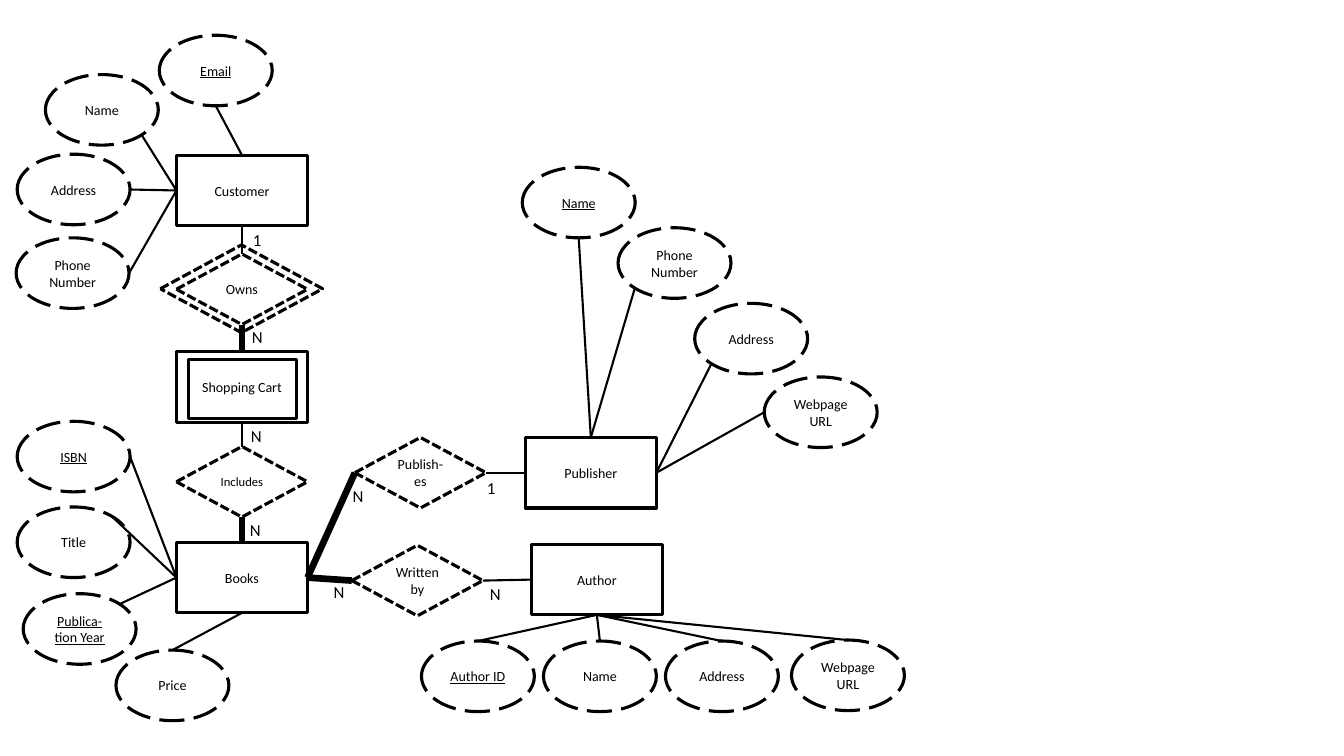
from lxml import etree
from pptx import Presentation
from pptx import util as u
from pptx.dml.color import RGBColor
from pptx.enum import dml, shapes, text
from pptx.oxml import ns

INK = {"line": "000000", "text": "000000"}
FONT = "Calibri"
KIND = shapes.MSO_SHAPE
DASH = dml.MSO_LINE
THIN, THICK = 1.5, 4.75

# kind: preset, dash, width, height
LOOKS = {
    "entity": (KIND.RECTANGLE, None, 1.3, 0.7),
    "bond": (KIND.DIAMOND, DASH.SQUARE_DOT, 1.3, 0.7),
    "field": (KIND.OVAL, DASH.LONG_DASH, 1.12, 0.7),
}
# Points on an outline, as shares of width and height
SIDES = {"top": (0.5, 0), "left": (0, 0.5), "foot": (0.5, 1), "right": (1, 0.5),
         "nw": (0.15, 0.15), "ne": (0.85, 0.15), "sw": (0.15, 0.85), "se": (0.85, 0.85)}


def color(name):
    return RGBColor.from_string(INK[name])


def style(frame, size, under=False):
    for par in frame.paragraphs:
        for run in par.runs:
            run.font.name, run.font.size = FONT, u.Pt(size)
            run.font.color.rgb = color("text")
            if under:
                run.font.underline = True


def node(slide, box, kind, spot, label="", key=False, size=10, dims=None):
    """Add an outlined shape at a spot inside the box."""
    preset, dash, wide, high = LOOKS[kind]
    wide, high = dims or (wide, high)
    item = slide.shapes.add_shape(preset, u.Inches(box[0] + spot[0]), u.Inches(box[1] + spot[1]),
                                  u.Inches(wide), u.Inches(high))
    item.shadow.inherit = False
    item.fill.background()
    item.line.color.rgb, item.line.width = color("line"), u.Pt(2.25)
    if dash:
        item.line.dash_style = dash
    if label:
        frame = item.text_frame
        frame.text, frame.word_wrap = label, True
        frame.vertical_anchor = text.MSO_ANCHOR.MIDDLE
        frame.paragraphs[0].alignment = text.PP_ALIGN.CENTER
        style(frame, size, key)
    return item


def point(item, side):
    across, down = SIDES[side]
    return int(item.left + across * item.width), int(item.top + down * item.height)


def link(slide, start, side, end, other, weight=THIN):
    """Join two shapes at the named sides."""
    line = slide.shapes.add_connector(shapes.MSO_CONNECTOR.STRAIGHT,
                                      *point(start, side), *point(end, other))
    line.line.color.rgb, line.line.width = color("line"), u.Pt(weight)
    etree.SubElement(line._element.spPr, ns.qn("a:effectLst"))


def count(slide, box, spot, label):
    """Add a cardinality label."""
    item = slide.shapes.add_textbox(u.Inches(box[0] + spot[0]), u.Inches(box[1] + spot[1]),
                                    u.Inches(0.31), u.Inches(0.3))
    frame = item.text_frame
    frame.text, frame.word_wrap = label, False
    frame.auto_size = text.MSO_AUTO_SIZE.SHAPE_TO_FIT_TEXT
    style(frame, 12)


def fields(slide, box, hub, rows):
    """Add attributes, each joined to its entity."""
    for label, key, spot, side, other in rows:
        link(slide, node(slide, box, "field", spot, label, key), side, hub, other)


def buyer(slide, box):
    hub = node(slide, box, "entity", (1.59, 1.19), "Customer")
    fields(slide, box, hub, [
        ("Email", True, (1.42, 0), "foot", "top"),
        ("Name", False, (0.29, 0.39), "se", "left"),
        ("Address", False, (0.01, 1.18), "right", "left"),
        ("Phone Number", False, (0, 2.01), "right", "left")])
    return hub


def cart(slide, box, owner):
    # Weak entity and its identifying relation have double outlines
    owns = node(slide, box, "bond", (0.16, 0.09), "Owns")
    node(slide, box, "bond", (0, 0), dims=(1.61, 0.87))
    hub = node(slide, box, "entity", (0.16, 1.06), "Shopping Cart")
    node(slide, box, "entity", (0.28, 1.14), dims=(1.07, 0.58))
    holds = node(slide, box, "bond", (0.16, 2), "Includes", size=9)
    link(slide, owner, "foot", owns, "top")
    link(slide, owns, "foot", hub, "top", THICK)
    link(slide, hub, "foot", holds, "top")
    for label, spot in [("1", (0.82, -0.2)), ("N", (0.81, 0.76)),
                        ("N", (0.8, 1.74)), ("N", (0.79, 2.68))]:
        count(slide, box, spot, label)
    return holds


def books(slide, box, holds):
    hub = node(slide, box, "entity", (1.58, 1.2), "Books")
    link(slide, holds, "foot", hub, "top", THICK)
    fields(slide, box, hub, [
        ("ISBN", True, (0, 0), "right", "left"),
        ("Title", False, (0, 0.85), "ne", "left"),
        ("Publica-tion Year", True, (0.06, 1.71), "ne", "left"),
        ("Price", False, (0.98, 2.27), "top", "foot")])
    return hub


def house(slide, box, stock):
    bond = node(slide, box, "bond", (0, 2.68), "Publish-es")
    hub = node(slide, box, "entity", (1.69, 2.68), "Publisher")
    link(slide, stock, "right", bond, "left", THICK)
    link(slide, bond, "right", hub, "left")
    count(slide, box, (-0.12, 3.11), "N")
    count(slide, box, (1.21, 3.03), "1")
    fields(slide, box, hub, [
        ("Name", True, (1.66, 0), "foot", "top"),
        ("Phone Number", False, (2.61, 0.6), "sw", "top"),
        ("Address", False, (3.37, 1.35), "sw", "right"),
        ("Webpage URL", False, (4.06, 2.08), "left", "right")])


def author(slide, box, stock):
    bond = node(slide, box, "bond", (0, 0.01), "Written by")
    hub = node(slide, box, "entity", (1.78, 0), "Author")
    link(slide, stock, "right", bond, "left", THICK)
    link(slide, bond, "right", hub, "left")
    count(slide, box, (-0.28, 0.32), "N")
    count(slide, box, (1.27, 0.34), "N")
    fields(slide, box, hub, [
        ("Author ID", True, (0.69, 0.96), "top", "foot"),
        ("Name", False, (1.9, 0.96), "top", "foot"),
        ("Address", False, (3.11, 0.96), "top", "foot"),
        ("Webpage URL", False, (4.36, 0.95), "top", "foot")])


deck = Presentation()
deck.slide_width, deck.slide_height = u.Inches(13.33), u.Inches(7.5)
page = deck.slides.add_slide(deck.slide_layouts[6])

# Each region gets the left and top of its box
owner = buyer(page, (0.16, 0.35))
holds = cart(page, (1.59, 2.43), owner)
stock = books(page, (0.17, 4.18), holds)
house(page, (3.52, 1.66), stock)
author(page, (3.49, 5.4), stock)

deck.save("out.pptx")
